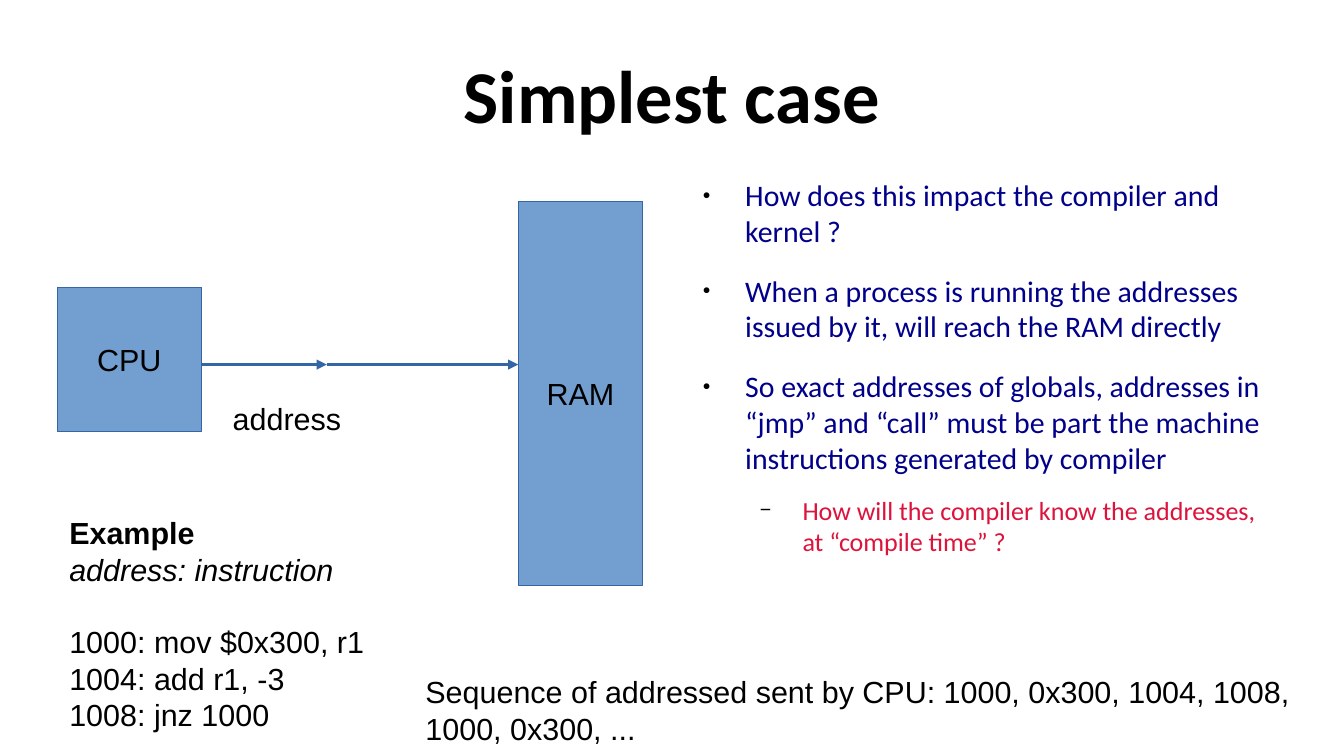
from dataclasses import dataclass

import pptx
import pptx.dml.color
import pptx.enum.shapes
import pptx.enum.text
import pptx.oxml
import pptx.oxml.ns
import pptx.presentation
import pptx.shapes.base
import pptx.slide
import pptx.text.text
import pptx.util
from lxml import etree

Inches = pptx.util.Inches
Pt = pptx.util.Pt
ALIGN = pptx.enum.text.PP_ALIGN
ANCHOR = pptx.enum.text.MSO_ANCHOR


@dataclass(frozen=True)
class Theme:
    heading_font: str = "Calibri"
    label_font: str = "Arial"
    black: str = "000000"
    point: str = "00008B"
    question: str = "DC143C"
    block_fill: str = "729FCF"
    block_line: str = "3465A4"
    title_size: float = 44
    point_size: float = 17.6
    question_size: float = 15.4
    label_size: float = 18


THEME = Theme()


@dataclass(frozen=True)
class Place:
    left: float
    top: float
    width: float
    height: float


@dataclass(frozen=True)
class Block:
    text: str
    place: Place


@dataclass(frozen=True)
class Line:
    text: str
    bold: bool = False
    italic: bool = False
    space_before: float = 0


@dataclass(frozen=True)
class Note:
    lines: tuple[Line, ...]
    place: Place
    wrap: bool = True


@dataclass(frozen=True)
class Level:
    bullet: str
    bullet_percent: int
    indent: float
    space_before: float
    size: float
    color: str


LEVELS = (
    Level("●", 45, 0.47, 14.2, THEME.point_size, THEME.point),
    Level("−", 75, 0.94, 11.3, THEME.question_size, THEME.question),
)
HANGING = 0.35
POINTS = (
    (0, "How does this impact the compiler and kernel ?"),
    (0, "When a process is running the addresses issued by it, will reach the RAM directly"),
    (0, "So exact addresses of globals, addresses in “jmp” and “call” must be part "
        "the machine instructions generated by compiler"),
    (1, "How will the compiler know the addresses, at “compile time” ?"),
)
CPU = Block("CPU", Place(0.47, 2.36, 1.18, 1.18))
RAM = Block("RAM", Place(4.25, 1.65, 1.02, 3.15))
BUS_TOP = 2.99
BUS_STOPS = (CPU.place.left + CPU.place.width, 2.68, RAM.place.left)
NOTES = (
    Note((Line("address"),), Place(1.81, 3.23, 1.09, 0.38), wrap=False),
    Note((
        Line("Example", bold=True),
        Line("address: instruction", italic=True),
        Line("1000: mov $0x300, r1", space_before=21),
        Line("1004: add r1, -3"),
        Line("1008: jnz 1000"),
    ), Place(0.47, 4.17, 3.54, 1.78)),
    Note((Line("Sequence of addressed sent by CPU: 1000, 0x300, 1004, 1008, 1000, 0x300, ..."),),
         Place(3.39, 5.47, 7.4, 0.66)),
)


def rgb(color: str) -> pptx.dml.color.RGBColor:
    return pptx.dml.color.RGBColor.from_string(color)


def lengths(place: Place) -> tuple[pptx.util.Length, ...]:
    return Inches(place.left), Inches(place.top), Inches(place.width), Inches(place.height)


def move(shape: pptx.shapes.base.BaseShape, place: Place) -> None:
    shape.left, shape.top, shape.width, shape.height = lengths(place)


def format_runs(para: pptx.text.text._Paragraph, font: str, size: float, color: str,
                bold: bool = False, italic: bool = False) -> None:
    for span in para.runs:
        span.font.name = font
        span.font.size = Pt(size)
        span.font.color.rgb = rgb(color)
        span.font.bold = bold
        span.font.italic = italic


def prepare_placeholder(shape: pptx.shapes.base.BaseShape, place: Place,
                        anchor: pptx.enum.text.MSO_ANCHOR) -> None:
    """Move a placeholder and clear its margins and automatic sizing."""
    move(shape, place)
    frame = shape.text_frame
    frame.margin_left = frame.margin_top = frame.margin_right = frame.margin_bottom = 0
    frame.auto_size = pptx.enum.text.MSO_AUTO_SIZE.NONE
    frame.vertical_anchor = anchor
    frame.word_wrap = True


def add_bullet(para: pptx.text.text._Paragraph, level: Level) -> None:
    properties = para._p.get_or_add_pPr()
    properties.set("marL", str(Inches(level.indent)))
    properties.set("indent", str(-Inches(HANGING)))
    qn = pptx.oxml.ns.qn
    color = etree.SubElement(properties, qn("a:buClr"))
    etree.SubElement(color, qn("a:srgbClr"), val=THEME.black)
    etree.SubElement(properties, qn("a:buSzPct"), val=str(level.bullet_percent * 1000))
    etree.SubElement(properties, qn("a:buFont"), typeface=THEME.label_font)
    etree.SubElement(properties, qn("a:buChar"), char=level.bullet)


def fill_title(page: pptx.slide.Slide) -> None:
    title = page.shapes.title
    prepare_placeholder(title, Place(0.55, 0.25, 9.92, 1.04), ANCHOR.MIDDLE)
    title.text_frame.text = "Simplest case"
    para = title.text_frame.paragraphs[0]
    para.alignment = ALIGN.CENTER
    format_runs(para, THEME.heading_font, THEME.title_size, THEME.black, bold=True)


def fill_points(page: pptx.slide.Slide) -> None:
    body = page.placeholders[1]
    prepare_placeholder(body, Place(5.64, 1.45, 4.84, 3.6), ANCHOR.TOP)
    body.text_frame.text = "\n".join(text for _, text in POINTS)
    for index, (para, (depth, _)) in enumerate(zip(body.text_frame.paragraphs, POINTS)):
        level = LEVELS[depth]
        add_bullet(para, level)
        para.level = depth
        para.space_before = Pt(level.space_before if index else 0)
        format_runs(para, THEME.heading_font, level.size, level.color)


def add_block(page: pptx.slide.Slide, block: Block) -> None:
    box = page.shapes.add_shape(pptx.enum.shapes.MSO_SHAPE.RECTANGLE, *lengths(block.place))
    box.shadow.inherit = False
    box.fill.solid()
    box.fill.fore_color.rgb = rgb(THEME.block_fill)
    box.line.color.rgb = rgb(THEME.block_line)
    box.line.width = Pt(0)
    frame = box.text_frame
    frame.word_wrap = False
    frame.vertical_anchor = ANCHOR.MIDDLE
    frame.text = block.text
    frame.paragraphs[0].alignment = ALIGN.CENTER
    format_runs(frame.paragraphs[0], THEME.label_font, THEME.label_size, THEME.black)


def add_arrow(page: pptx.slide.Slide, start: float, end: float) -> None:
    arrow = page.shapes.add_connector(pptx.enum.shapes.MSO_CONNECTOR.STRAIGHT, Inches(start),
                                      Inches(BUS_TOP), Inches(end), Inches(BUS_TOP))
    arrow.line.color.rgb = rgb(THEME.block_line)
    arrow.line.width = Pt(0)
    qn = pptx.oxml.ns.qn
    etree.SubElement(arrow.line._get_or_add_ln(), qn("a:tailEnd"), type="triangle")
    etree.SubElement(arrow._element.spPr, qn("a:effectLst"))


def add_note(page: pptx.slide.Slide, note: Note) -> None:
    frame = page.shapes.add_textbox(*lengths(note.place)).text_frame
    frame.word_wrap = note.wrap
    frame.text = "\n".join(line.text for line in note.lines)
    for para, line in zip(frame.paragraphs, note.lines):
        para.space_before = Pt(line.space_before)
        format_runs(para, THEME.label_font, THEME.label_size, THEME.black, line.bold, line.italic)


def main() -> None:
    deck = pptx.Presentation()
    deck.slide_width, deck.slide_height = Inches(11.02), Inches(6.2)
    page = deck.slides.add_slide(deck.slide_layouts[1])
    fill_title(page)
    fill_points(page)
    for block in (CPU, RAM):
        add_block(page, block)
    for start, end in zip(BUS_STOPS, BUS_STOPS[1:]):
        add_arrow(page, start, end)
    for note in NOTES:
        add_note(page, note)
    deck.save("out.pptx")


if __name__ == "__main__":
    main()
